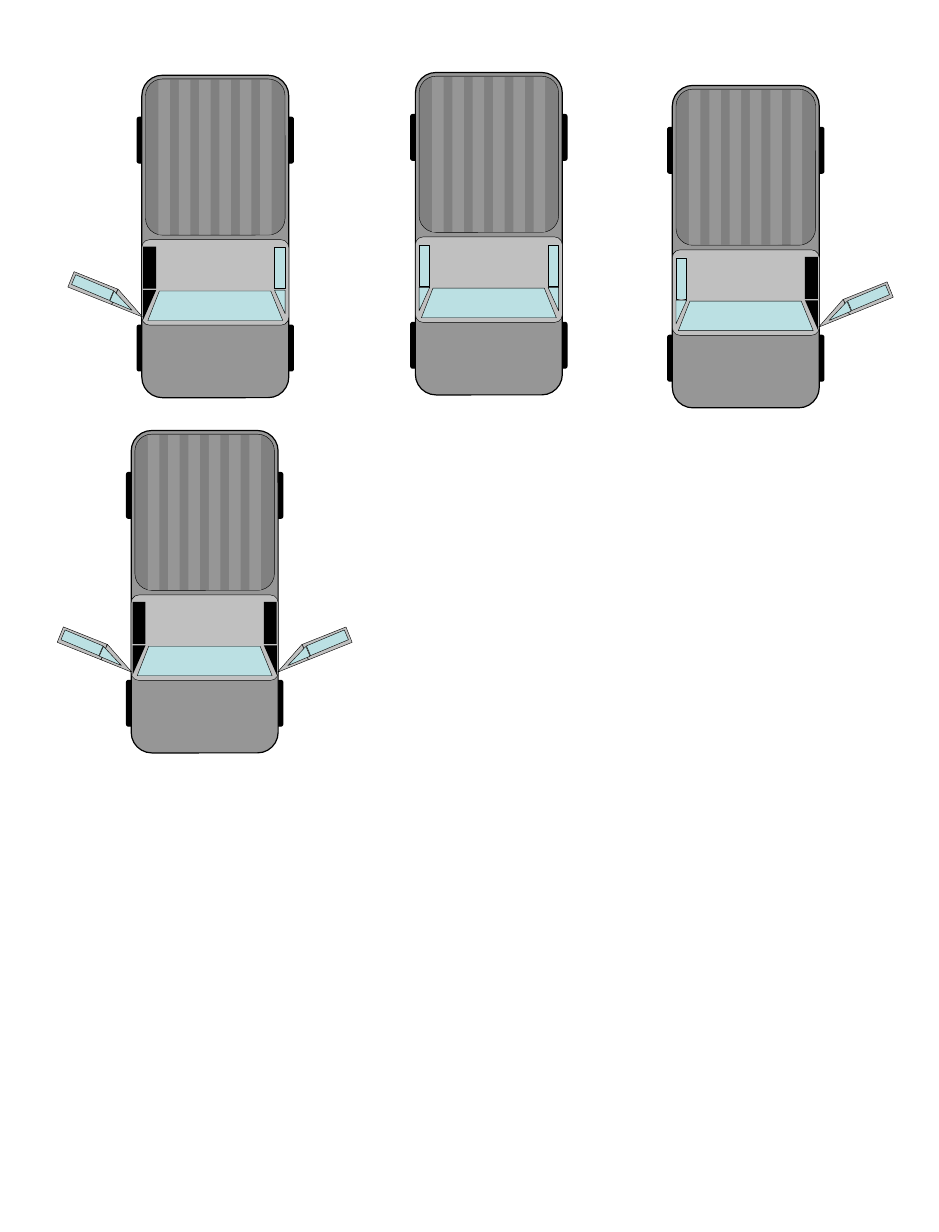
"""Draw four pickup trucks seen from above, each with its own doors open."""
from pptx import Presentation
from pptx.dml.color import RGBColor
from pptx.enum.shapes import MSO_SHAPE
from pptx.util import Cm, Pt

RECT = MSO_SHAPE.RECTANGLE
ROUND = MSO_SHAPE.ROUNDED_RECTANGLE
WEDGE = MSO_SHAPE.RIGHT_TRIANGLE
BLACK = RGBColor(0x00, 0x00, 0x00)
DARK = RGBColor(0x80, 0x80, 0x80)
GREY = RGBColor(0x96, 0x96, 0x96)
LIGHT = RGBColor(0xC0, 0xC0, 0xC0)
GLASS = RGBColor(0xBB, 0xE0, 0xE3)
WIDE, LONG = 3.18, 6.98
THIN, BOLD = 0.25, 0.75


def paint(shape, fill, line):
    shape.shadow.inherit = False
    shape.fill.solid()
    shape.fill.fore_color.rgb = fill
    if line:
        shape.line.color.rgb = BLACK
        shape.line.width = Pt(line)
    else:
        shape.line.fill.background()


def add(truck, kind, box, fill, line=0, turn=0, round_by=0, flip=False):
    group, left, top = truck
    x, y, w, h = box
    if flip:
        x, turn = WIDE - x - w, -turn % 360
    shape = group.shapes.add_shape(kind, Cm(left + x), Cm(top + y), Cm(w), Cm(h))
    if round_by:
        shape.adjustments[0] = round_by
    if flip:
        shape.element.spPr.xfrm.set("flipH", "1")
    shape.rotation = turn
    paint(shape, fill, line)


# kind, box, fill, line, turn: all for the right side
SHUT = [
    (RECT, (2.87, 3.73, 0.23, 0.89), GLASS, THIN, 0),
    (WEDGE, (2.87, 4.65, 0.23, 0.51), GLASS, THIN, 180),
]
OPEN = [
    (RECT, (4.06, 4.1, 0.36, 1.02), LIGHT, THIN, 68.2),
    (WEDGE, (3.25, 4.57, 0.36, 0.72), LIGHT, THIN, 248),
    (RECT, (4.13, 4.15, 0.23, 0.89), GLASS, THIN, 67.2),
    (WEDGE, (3.47, 4.62, 0.23, 0.52), GLASS, THIN, 247.2),
    (RECT, (2.87, 3.71, 0.28, 0.91), BLACK, 0, 0),
    (WEDGE, (2.87, 4.65, 0.28, 0.64), BLACK, 0, 180),
]
# left, top, left door, right door
TRUCKS = [
    (2.84, 9.32, OPEN, OPEN),
    (3.07, 1.63, OPEN, SHUT),
    (8.99, 1.57, SHUT, SHUT),
    (14.55, 1.85, SHUT, OPEN),
]

deck = Presentation()
deck.slide_width, deck.slide_height = Cm(20.32), Cm(26.67)
slide = deck.slides.add_slide(deck.slide_layouts[6])

for left, top, *doors in TRUCKS:
    group = slide.shapes.add_group_shape()
    truck = group, left, top

    for y in (0.91, 5.41):
        for flip in (True, False):
            add(truck, ROUND, (3.03, y, 0.25, 0.99), BLACK, BOLD,
                round_by=0.17, flip=flip)
    add(truck, ROUND, (0, 0, WIDE, LONG), GREY, BOLD, round_by=0.14)
    add(truck, ROUND, (0, 3.56, WIDE, 1.85), LIGHT, THIN, round_by=0.09)

    pen = group.shapes.build_freeform(Cm(left + 0.13), Cm(top + 5.31))
    rest = [(0.38, 4.67), (2.79, 4.67), (3.05, 5.31)]
    pen.add_line_segments([(Cm(left + x), Cm(top + y)) for x, y in rest])
    paint(pen.convert_to_shape(), GLASS, THIN)

    for door, flip in zip(doors, (True, False)):
        for kind, box, fill, line, turn in door:
            add(truck, kind, box, fill, line, turn, flip=flip)

    add(truck, ROUND, (0.08, 0.08, 3.02, 3.38), DARK, THIN, round_by=0.12)
    for i in range(6):
        add(truck, RECT, (0.36 + 0.44 * i, 0.1, 0.25, 3.35), GREY)

deck.save("out.pptx")
